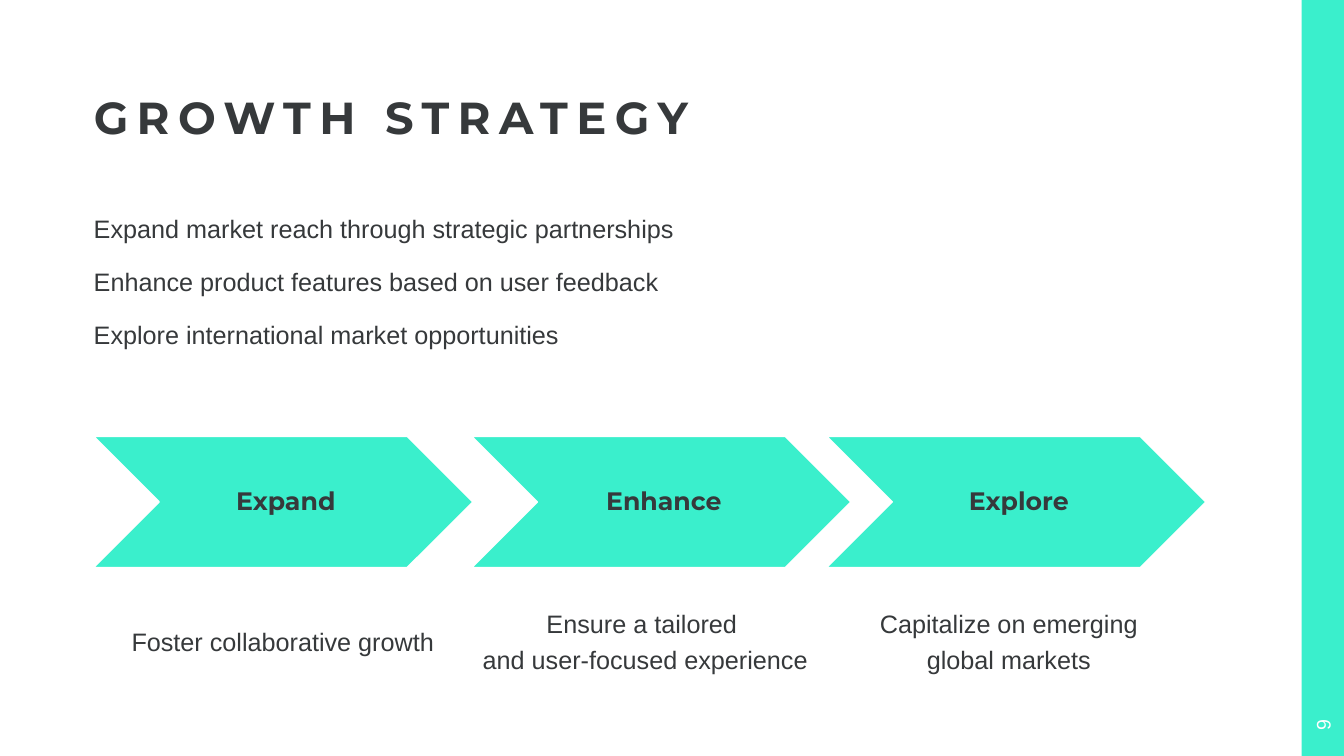
from dataclasses import dataclass

from pptx import Presentation
from pptx.dml.color import RGBColor
from pptx.enum.shapes import MSO_SHAPE
from pptx.enum.text import MSO_ANCHOR, MSO_AUTO_SIZE, PP_ALIGN
from pptx.util import Inches, Pt


@dataclass(frozen=True)
class Theme:
    accent: RGBColor = RGBColor.from_string("3AEFCC")
    ink: RGBColor = RGBColor.from_string("36393B")
    white: RGBColor = RGBColor.from_string("FFFFFF")
    heading_font: str = "Montserrat"
    body_font: str = "Arial"
    title_size: int = 32
    text_size: int = 18
    number_size: int = 14


class SlideBuilder:
    def __init__(self, s, theme):
        self.s = s
        self.theme = theme

    def set_text(self, sp, lines, insets=(0, 0, 0, 0), anchor=MSO_ANCHOR.MIDDLE,
                 align=PP_ALIGN.CENTER, spacing=1.2, after=0, **font):
        """Fill a shape with one paragraph per line."""
        tf = sp.text_frame
        sides = ("margin_left", "margin_top", "margin_right", "margin_bottom")
        frame = {"word_wrap": True, "auto_size": MSO_AUTO_SIZE.NONE,
                 "vertical_anchor": anchor}
        frame.update({side: Inches(v) for side, v in zip(sides, insets)})
        for name, value in frame.items():
            setattr(tf, name, value)
        look = {"name": self.theme.body_font, "size": self.theme.text_size,
                "bold": False, "color": self.theme.ink} | font
        color = look.pop("color")
        look["size"] = Pt(look["size"])
        tf.text = "\n".join(lines)
        for p in tf.paragraphs:
            paragraph = {"alignment": align, "line_spacing": spacing,
                         "space_before": Pt(0), "space_after": Pt(after)}
            for name, value in paragraph.items():
                setattr(p, name, value)
            for r in p.runs:
                for name, value in look.items():
                    setattr(r.font, name, value)
                r.font.color.rgb = color

    def title(self, text, box):
        sp = self.s.shapes.title
        for name, value in zip(("left", "top", "width", "height"), box):
            setattr(sp, name, Inches(value))
        self.set_text(sp, [text], anchor=MSO_ANCHOR.BOTTOM, align=PP_ALIGN.LEFT,
                      spacing=0.9, name=self.theme.heading_font,
                      size=self.theme.title_size, bold=True)
        # Wide letter spacing
        for r in sp.text_frame.paragraphs[0].runs:
            r.font._element.set("spc", "600")

    def text(self, lines, box, **style):
        sp = self.s.shapes.add_textbox(*map(Inches, box))
        self.set_text(sp, lines, **style)
        return sp

    def shape(self, kind, box, outline=False):
        sp = self.s.shapes.add_shape(kind, *map(Inches, box))
        sp.shadow.inherit = False
        sp.fill.solid()
        sp.fill.fore_color.rgb = self.theme.accent
        if outline:
            sp.line.color.rgb = self.theme.white
            sp.line.width = Pt(1)
        else:
            sp.line.fill.background()
        return sp

    def step(self, label, left):
        sp = self.shape(MSO_SHAPE.CHEVRON, (left, 4.33, 3.76, 1.3), outline=True)
        self.set_text(sp, [label], insets=(0.08, 0.03, 0.03, 0.03), spacing=0.9,
                      name=self.theme.heading_font, bold=True)


# label, chevron left, caption, caption left, caption width
STEPS = [
    ("Expand", 0.93, "Foster collaborative growth", 1.3, 3.01),
    ("Enhance", 4.68, "Ensure a tailored \vand user-focused experience", 4.67, 3.46),
    ("Explore", 8.2, "Capitalize on emerging global markets", 8.5, 3.01),
]
GOALS = [
    "Expand market reach through strategic partnerships",
    "Enhance product features based on user feedback",
    "Explore international market opportunities",
]


def main():
    prs = Presentation()
    prs.slide_width, prs.slide_height = Inches(13.33), Inches(7.5)
    theme = Theme()
    slide = SlideBuilder(prs.slides.add_slide(prs.slide_layouts[5]), theme)

    # Side band
    slide.shape(MSO_SHAPE.RECTANGLE, (12.91, 0, 0.42, 7.5))

    # Title and goals
    slide.title("GROWTH STRATEGY", (0.93, 0, 11.07, 1.43))
    slide.text(GOALS, (0.93, 2.01, 11.03, 1.56), insets=(0, 0.05, 0.1, 0.05),
               anchor=MSO_ANCHOR.TOP, align=PP_ALIGN.LEFT, after=12)

    # Chevron steps with captions
    for label, left, caption, caption_left, caption_width in STEPS:
        slide.step(label, left)
        slide.text([caption], (caption_left, 5.79, caption_width, 1.08), after=12)

    # Slide number
    number = slide.text(["9"], (12.81, 6.98, 0.62, 0.42), spacing=1.0,
                        insets=(0.1, 0.05, 0.1, 0.05),
                        size=theme.number_size, color=theme.white)
    number.rotation = 270

    prs.save("out.pptx")


if __name__ == "__main__":
    main()
